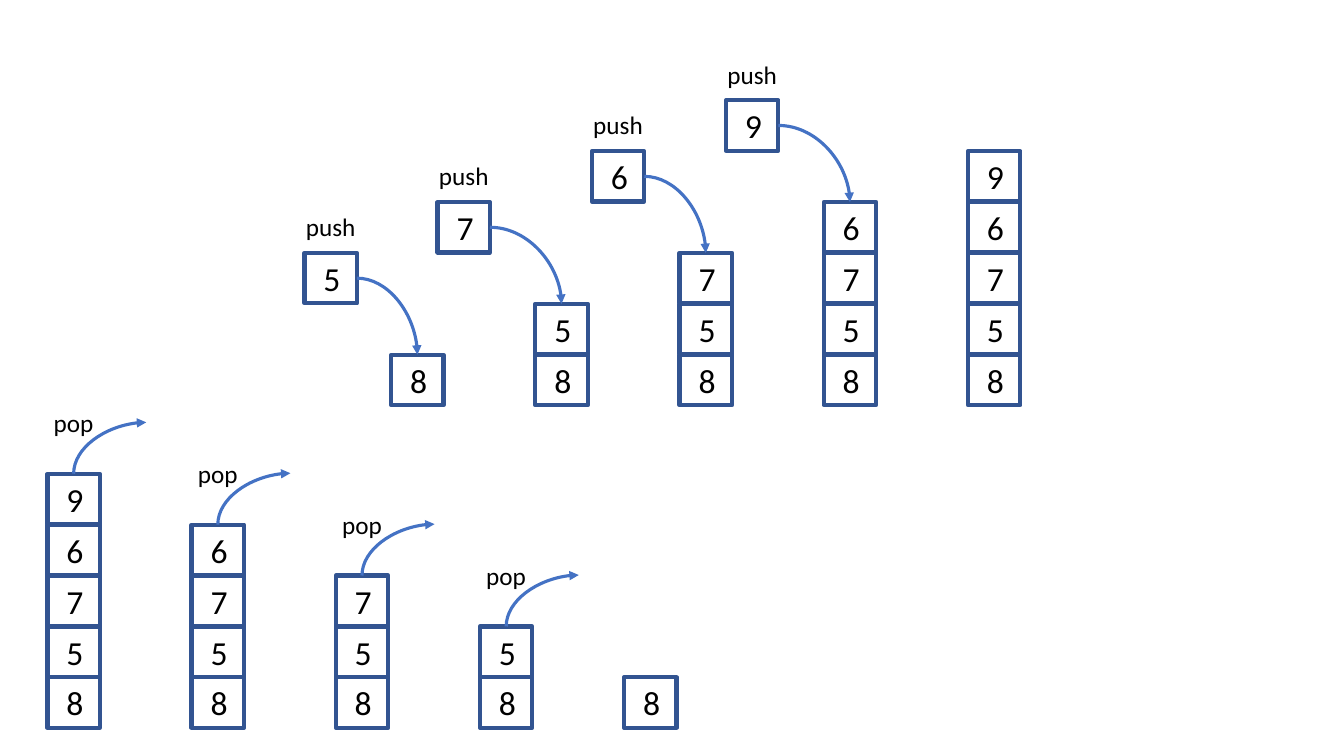
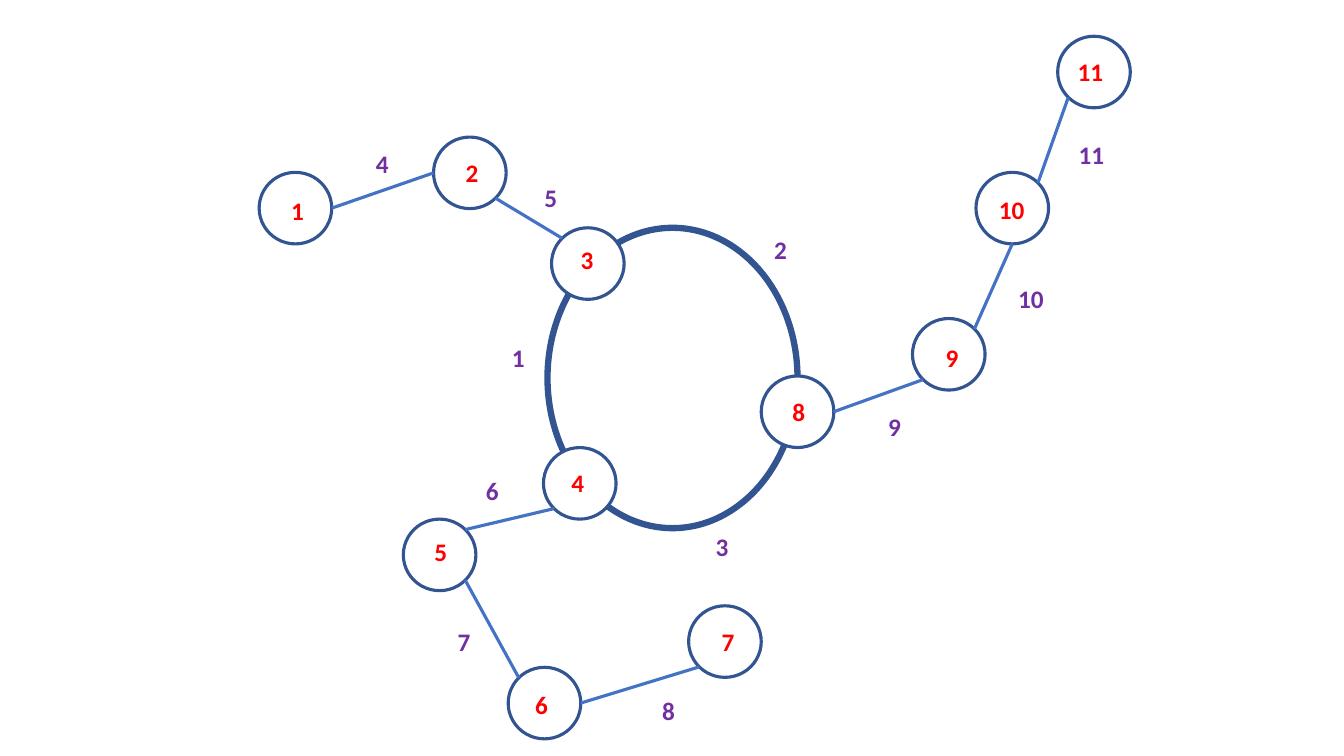
from math import cos, radians, sin

from lxml import etree
from pptx import Presentation
from pptx.dml.color import RGBColor
from pptx.enum.shapes import MSO_CONNECTOR, MSO_SHAPE
from pptx.enum.text import MSO_AUTO_SIZE, PP_ALIGN
from pptx.oxml.ns import qn
from pptx.util import Inches, Pt

RECT = MSO_SHAPE.RECTANGLE
OVAL = MSO_SHAPE.OVAL
LINE = MSO_CONNECTOR.STRAIGHT
CURVE = MSO_CONNECTOR.CURVE
LEFT = PP_ALIGN.LEFT
CENTER = PP_ALIGN.CENTER
GROW = MSO_AUTO_SIZE.SHAPE_TO_FIT_TEXT

FONT = "Calibri"
NAVY = RGBColor(0x32, 0x54, 0x91)
BLUE = RGBColor(0x44, 0x72, 0xC4)
BLACK = RGBColor(0, 0, 0)
WHITE = RGBColor(255, 255, 255)
RED = RGBColor(255, 0, 0)
PURPLE = RGBColor(0x70, 0x30, 0xA0)

CELL_W, CELL_H = 0.52, 0.5
STEP, PITCH = 0.505, 1.43
NODE_W, NODE_H = 0.72, 0.71


class Deck:
    def __init__(self):
        self.prs = Presentation()
        self.prs.slide_width = Inches(13.33)
        self.prs.slide_height = Inches(7.5)

    def page(self):
        self.slide = self.prs.slides.add_slide(self.prs.slide_layouts[6])

    def text(self, text, x, y, w, h=0.4, size=18, color=BLACK, bold=False,
             align=LEFT, wrap=True):
        box = self.slide.shapes.add_textbox(Inches(x), Inches(y), Inches(w), Inches(h))
        frame = box.text_frame
        frame.word_wrap = wrap
        frame.auto_size = GROW
        para = frame.paragraphs[0]
        para.alignment = align
        run = para.add_run()
        run.text = text
        run.font.name = FONT
        run.font.size = Pt(size)
        run.font.bold = bold
        run.font.color.rgb = color

    def shape(self, kind, x, y, w, h, width, fill=None):
        item = self.slide.shapes.add_shape(kind, Inches(x), Inches(y), Inches(w), Inches(h))
        item.shadow.inherit = False
        if fill is None:
            item.fill.background()
        else:
            item.fill.solid()
            item.fill.fore_color.rgb = fill
        item.line.color.rgb = NAVY
        item.line.width = Pt(width)

    def line(self, start, end, kind=LINE):
        ends = [Inches(v) for v in (*start, *end)]
        link = self.slide.shapes.add_connector(kind, *ends)
        link.line.color.rgb = BLUE
        link.line.width = Pt(2.25)
        etree.SubElement(link._element.spPr, qn("a:effectLst"))
        return link

    def arrow(self, start, end, turn=0):
        props = self.line(start, end, CURVE)._element.spPr
        props.find(qn("a:prstGeom")).set("prst", "curvedConnector2")
        if turn:
            props.find(qn("a:xfrm")).set("rot", str(turn * 60000))
        etree.SubElement(props.find(qn("a:ln")), qn("a:tailEnd"), type="triangle")

    def rise(self, x, y, w, h):
        mid_x, mid_y = x + w / 2, y - h / 2
        self.arrow((mid_x + h / 2, mid_y + w / 2), (mid_x - h / 2, mid_y - w / 2), turn=90)

    def cell(self, text, x, y):
        self.text(text, x + 0.09, y, 0.33, CELL_H, size=24)
        self.shape(RECT, x, y, CELL_W, CELL_H, 3)

    def stack(self, items, x, base):
        for i, item in enumerate(items):
            self.cell(item, x, base - i * STEP)

    def node(self, x, y):
        self.shape(OVAL, x, y, NODE_W, NODE_H, 2.25, WHITE)


def site(spot, step):
    angle = radians(90 + 45 * step)
    x, y = spot
    return (x + NODE_W / 2 * (1 + cos(angle)), y + NODE_H / 2 * (1 - sin(angle)))


def draw_stack(deck):
    deck.page()
    items = "85769"
    for i in range(5):
        deck.stack(items[:5 - i], 0.47 + i * PITCH, 6.72)
        deck.stack(items[:i + 1], 3.88 + i * PITCH, 3.52)
    for i, x in enumerate((3.02, 4.34, 5.87, 7.2)):
        y = 2.51 - i * STEP
        deck.cell(items[i + 1], x, y)
        deck.arrow((x + CELL_W, y + CELL_H / 2),
                   (3.88 + i * PITCH + CELL_W / 2, y + 2 * STEP))
        deck.text("push", x - 0.09, y - 0.46, 0.7, align=CENTER, wrap=False)
    for i in range(4):
        x, top = 0.47 + i * PITCH, 4.7 + i * STEP
        deck.rise(x + CELL_W / 2, top, 0.72, 0.51)
        deck.text("pop", x - 0.04, top - 0.71, 0.6, align=CENTER)


def draw_graph(deck):
    deck.page()
    deck.shape(OVAL, 5.43, 2.26, 2.48, 2.98, 4.5)
    nodes = {
        1: (2.57, 1.71), 2: (4.3, 1.36), 3: (5.47, 2.26), 4: (5.39, 4.44),
        5: (4, 5.15), 6: (5.04, 6.62), 7: (6.83, 6.01), 8: (7.55, 3.73),
        9: (9.05, 3.16), 10: (9.68, 1.71), 11: (10.49, 0.36),
    }
    for spot in nodes.values():
        deck.node(*spot)
    edges = (
        (3, 1, 2, 5), (2, 2, 1, 6), (7, 3, 6, 6), (4, 3, 5, 7),
        (6, 1, 5, 5), (9, 3, 8, 6), (10, 4, 9, 7), (11, 3, 10, 7),
    )
    for a, a_site, b, b_site in edges:
        deck.line(site(nodes[a], a_site), site(nodes[b], b_site))
    names = (
        (2.79, 1.89), (4.52, 1.51), (5.66, 2.37), (5.57, 4.59),
        (4.21, 5.27), (5.21, 6.79), (7.06, 6.16), (7.76, 3.88),
        (9.28, 3.35), (9.81, 1.88), (10.59, 0.51),
    )
    costs = (
        (4.98, 3.35), (7.58, 2.28), (7, 5.22), (3.63, 1.42),
        (5.3, 1.76), (4.72, 4.67), (4.44, 6.16), (6.47, 6.85),
        (8.71, 4.03), (10, 2.76), (10.6, 1.33),
    )
    for spots, color in ((names, RED), (costs, PURPLE)):
        for i, (x, y) in enumerate(spots, 1):
            deck.text(str(i), x, y, 0.63, color=color, bold=True)


deck = Deck()
draw_stack(deck)
draw_graph(deck)
deck.prs.save("out.pptx")
